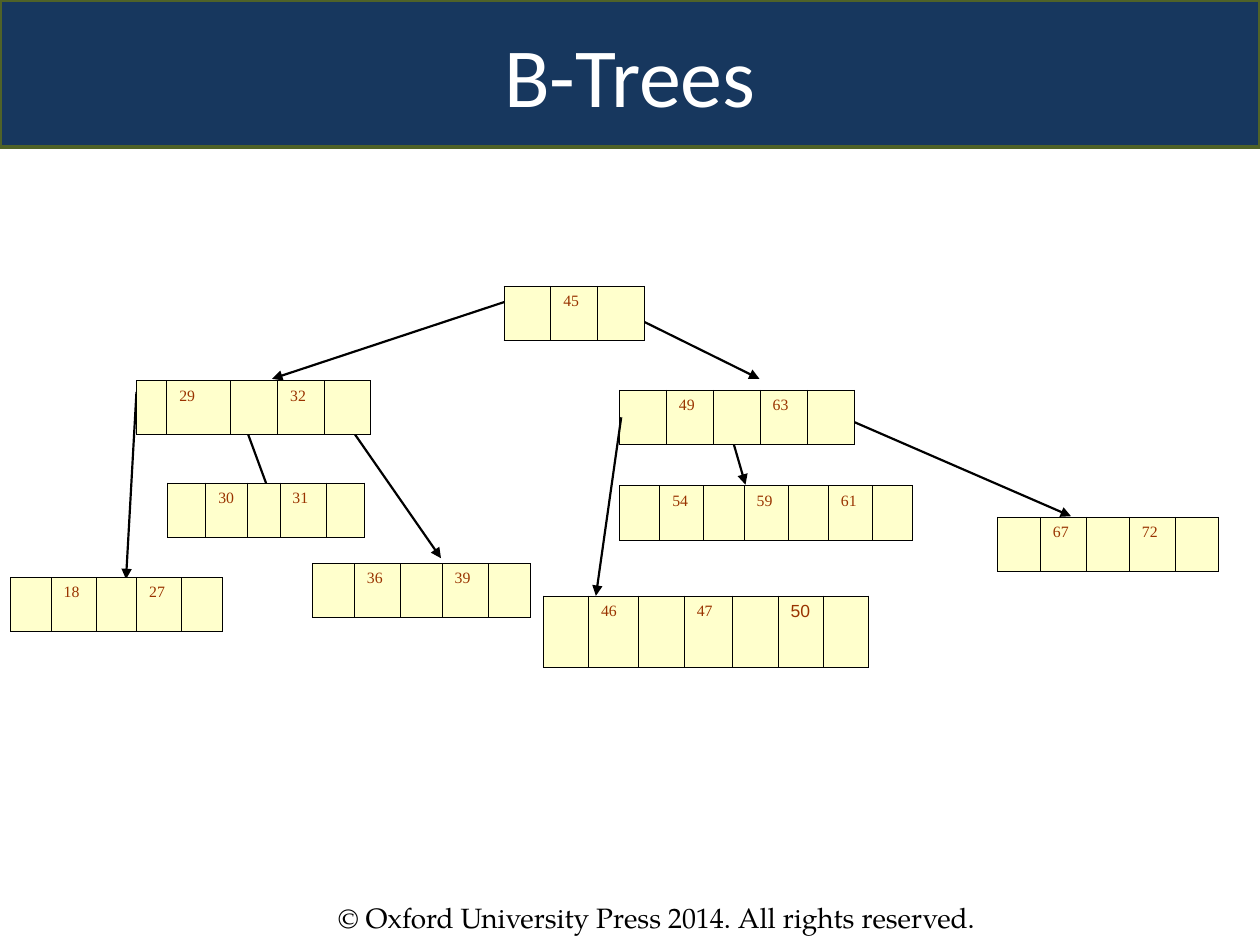
from lxml.etree import SubElement as Sub
from pptx import Presentation
from pptx.dml.color import RGBColor
from pptx.enum.shapes import MSO_CONNECTOR as Line, MSO_SHAPE as Shape
from pptx.enum.text import MSO_ANCHOR as Anchor, PP_ALIGN as Align
from pptx.oxml.ns import qn
from pptx.util import Pt

NAVY = RGBColor(0x17, 0x37, 0x5E)
OLIVE = RGBColor(0x4F, 0x62, 0x28)
CREAM = RGBColor(0xFF, 0xFF, 0xCC)
RUST = RGBColor(0x99, 0x33, 0x00)
WHITE = RGBColor(0xFF, 0xFF, 0xFF)
BLACK = RGBColor(0, 0, 0)

ROW = 31
SERIF = "Times New Roman"

# left, top (relative to the tree), column widths, keys
PARENTS = [
    (282, 0, [26.7] * 3, [45]),
    (72, 54, [17.2, 36.6, 26.8, 26.5, 26.8], [29, 32]),
    (348, 59.5, [26.8] * 5, [49, 63]),
]
LEAVES = [
    (0, 166.5, [23.2, 25.7, 23.2, 25.7, 23.2], [18, 27]),
    (89.75, 112.5, [21.8, 23.6, 18.8, 26.4, 21.6], [30, 31]),
    (172.5, 158.5, [24, 26.2, 24, 26.2, 24], [36, 39]),
    (348, 114, [23, 25.2, 23, 25.2, 23, 25.2, 23], [54, 59, 61]),
    (564, 132, [24.5, 26.4, 24.5, 26.4, 24.5], [67, 72]),
]
# start x, y, end x, y (relative to the tree)
LINKS = [
    (284, 8.5, 149.5, 53),
    (338, 8.5, 428, 53),
    (72, 60.5, 66, 167.5),
    (126.5, 59.5, 153, 131.5),
    (180, 60.5, 246, 155.5),
    (407, 68.5, 420, 113.5),
    (461, 68.5, 606, 131.5),
]
FRONT = (349, 75, 334.5, 177)


def write(frame, text, size, font, color, align=Align.LEFT):
    par = frame.paragraphs[0]
    par.alignment = align
    run = par.add_run()
    run.text = text
    run.font.size = Pt(size)
    run.font.name = font
    run.font.color.rgb = color


def banner(slide, left, top, width, height):
    bar = slide.shapes.add_shape(
        Shape.ROUNDED_RECTANGLE, Pt(left), Pt(top), Pt(width), Pt(height))
    bar.adjustments[0] = 0
    bar.shadow.inherit = False
    bar.fill.solid()
    bar.fill.fore_color.rgb = NAVY
    bar.line.color.rgb = OLIVE
    bar.line.width = Pt(2)
    bar.text_frame.vertical_anchor = Anchor.MIDDLE
    write(bar.text_frame, "B-Trees", 48, "Calibri", WHITE, Align.CENTER)


def footer(slide, left, top, width, height):
    box = slide.shapes.add_textbox(Pt(left), Pt(top), Pt(width), Pt(height))
    box.text_frame.word_wrap = True
    write(box.text_frame, "© Oxford University Press 2014. All rights reserved.",
          16, "TeX Gyre Pagella", BLACK)


def border(cell):
    """Give all four sides a thin black line; call before the fill is set."""
    props = cell._tc.get_or_add_tcPr()
    for side in ("a:lnL", "a:lnR", "a:lnT", "a:lnB"):
        line = Sub(props, qn(side), w=str(Pt(0.45)))
        fill = Sub(line, qn("a:solidFill"))
        Sub(fill, qn("a:srgbClr"), val=str(BLACK))


def node(slide, left, top, widths, keys, height=ROW):
    """Draw a one-row table whose keys stand between empty pointer cells."""
    table = slide.shapes.add_table(
        1, len(widths), Pt(left), Pt(top), Pt(sum(widths)), Pt(height)).table
    table.first_row = table.horz_banding = False
    for i, width in enumerate(widths):
        table.columns[i].width = Pt(width)
        cell = table.cell(0, i)
        border(cell)
        cell.fill.solid()
        cell.fill.fore_color.rgb = CREAM
        if i % 2:
            key = keys[i // 2]
            size, font = (10, "Arial") if key == 50 else (9, SERIF)
            write(cell.text_frame, str(key), size, font, RUST)


def arrow(slide, x1, y1, x2, y2):
    link = slide.shapes.add_connector(
        Line.STRAIGHT, Pt(x1), Pt(y1), Pt(x2), Pt(y2))
    link.line.color.rgb = BLACK
    link.line.width = Pt(1.25)
    Sub(link.line._get_or_add_ln(), qn("a:tailEnd"), type="triangle")
    Sub(link._element.spPr, qn("a:effectLst"))


def tree(slide, left, top):
    def join(x1, y1, x2, y2):
        arrow(slide, left + x1, top + y1, left + x2, top + y2)

    def place(x, y, *rest):
        node(slide, left + x, top + y, *rest)

    for link in LINKS:
        join(*link)
    for item in PARENTS:
        place(*item)
    join(*FRONT)
    for item in LEAVES:
        place(*item)
    place(304.5, 177, [25.8, 28.3, 26.4, 27.6, 26, 25.8, 25.8], [46, 47, 50], 41)


def main():
    deck = Presentation()
    deck.slide_width, deck.slide_height = Pt(720), Pt(540)
    slide = deck.slides.add_slide(deck.slide_layouts[6])
    footer(slide, 186, 511, 426, 27)
    banner(slide, 0, 0, 720, 84)
    tree(slide, 6, 163.5)
    deck.save("out.pptx")


if __name__ == "__main__":
    main()
